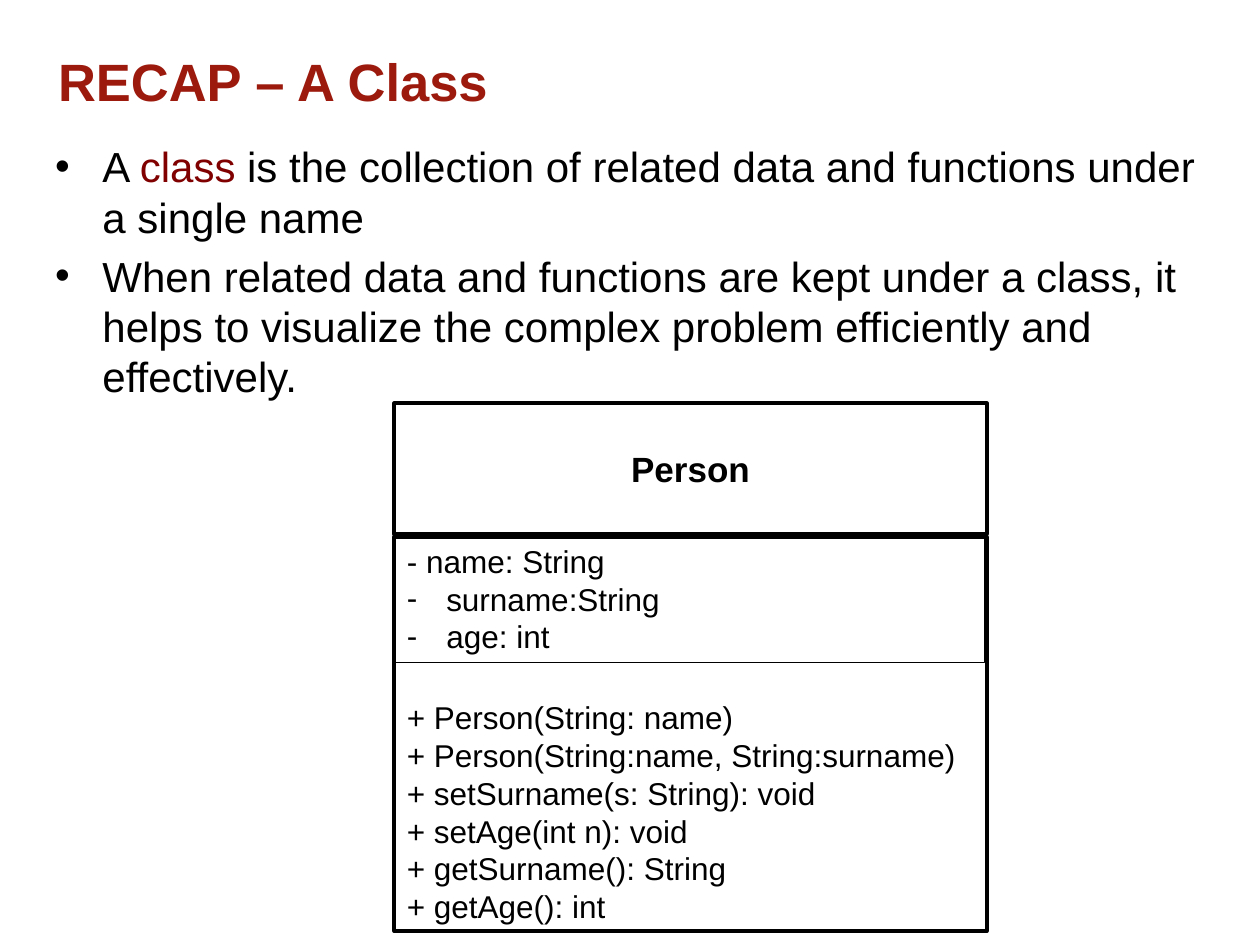
"""Build a slide that recaps what a class is, with a class diagram."""
from dataclasses import dataclass

from pptx import Presentation
from pptx.dml.color import RGBColor
from pptx.enum.shapes import MSO_SHAPE
from pptx.enum.text import MSO_ANCHOR as Anchor, PP_ALIGN as Align
from pptx.oxml.ns import qn
from pptx.util import Pt

FONT = "Arial"
BLACK = RGBColor(0x00, 0x00, 0x00)
TITLE_RED = RGBColor(0x9C, 0x19, 0x0D)
KEYWORD_RED = RGBColor(0x80, 0x00, 0x00)


@dataclass
class Compartment:
    top: float
    width: float
    height: float
    line: float
    lines: list[str]
    size: float = 18
    bold: bool = False
    align: Align = Align.LEFT
    anchor: Anchor = Anchor.TOP
    bulleted_from: int | None = None


BOX_LEFT = 225.4
COMPARTMENTS = [
    Compartment(230.4, 338.4, 75, 2.25, ["Person"], 20, True,
                Align.CENTER, Anchor.MIDDLE),
    Compartment(306, 337, 72.7, 0.75,
                ["- name: String", "surname:String", "age: int"],
                bulleted_from=1),
    Compartment(306.7, 338.4, 225.4, 2.25,
                ["+ Person(String: name)",
                 "+ Person(String:name, String:surname)",
                 "+ setSurname(s: String): void",
                 "+ setAge(int n): void",
                 "+ getSurname(): String",
                 "+ getAge(): int"],
                anchor=Anchor.BOTTOM),
]
BULLETS = [
    ["A ", "class", " is the collection of related data and functions under "
     "a single name"],
    ["When related data and functions are kept under a class, it helps to "
     "visualize the complex problem efficiently and effectively."],
]


def style(r, size: float, color: RGBColor = BLACK, bold: bool = False) -> None:
    f = r.font
    f.name, f.size, f.bold = FONT, Pt(size), bold
    f.color.rgb = color


def add_bullet(p, char: str, indent: float) -> None:
    pPr = p._p.get_or_add_pPr()
    pPr.set("marL", str(Pt(indent)))
    pPr.set("indent", str(-Pt(indent)))
    font = pPr.makeelement(qn("a:buFont"), {"typeface": FONT})
    bullet = pPr.makeelement(qn("a:buChar"), {"char": char})
    pPr.extend([font, bullet])


def draw_title(s, text: str) -> None:
    sp = s.shapes.title
    sp.left, sp.top, sp.width, sp.height = Pt(26), Pt(24.5), Pt(668), Pt(52)
    tf = sp.text_frame
    tf.text = text
    tf.vertical_anchor = Anchor.TOP
    p = tf.paragraphs[0]
    p.alignment = Align.LEFT
    style(p.runs[0], 30, TITLE_RED, True)


def draw_bullets(s, bullets: list[list[str]]) -> None:
    sp = s.shapes.add_textbox(Pt(24.5), Pt(77), Pt(668), Pt(344))
    tf = sp.text_frame
    tf.word_wrap = True
    for i, parts in enumerate(bullets):
        p = tf.add_paragraph() if i else tf.paragraphs[0]
        p.space_before = Pt(4.8 if i else 0)
        add_bullet(p, "•", 27)
        for part in parts:
            r = p.add_run()
            r.text = part
            style(r, 24, KEYWORD_RED if part == "class" else BLACK)


def draw_compartment(s, c: Compartment) -> None:
    sp = s.shapes.add_shape(MSO_SHAPE.RECTANGLE, Pt(BOX_LEFT), Pt(c.top),
                            Pt(c.width), Pt(c.height))
    sp.shadow.inherit = False
    sp.fill.background()
    sp.line.color.rgb = BLACK
    sp.line.width = Pt(c.line)
    tf = sp.text_frame
    tf.word_wrap = True
    tf.vertical_anchor = c.anchor
    tf.text = "\n".join(c.lines)
    for i, p in enumerate(tf.paragraphs):
        p.alignment = c.align
        style(p.runs[0], c.size, bold=c.bold)
        if c.bulleted_from is not None and i >= c.bulleted_from:
            add_bullet(p, "-", 22.5)


def main() -> None:
    prs = Presentation()
    prs.slide_width, prs.slide_height = Pt(720), Pt(540)
    s = prs.slides.add_slide(prs.slide_layouts[5])
    draw_title(s, "RECAP – A Class")
    draw_bullets(s, BULLETS)
    for c in COMPARTMENTS:
        draw_compartment(s, c)
    prs.save("out.pptx")


if __name__ == "__main__":
    main()
